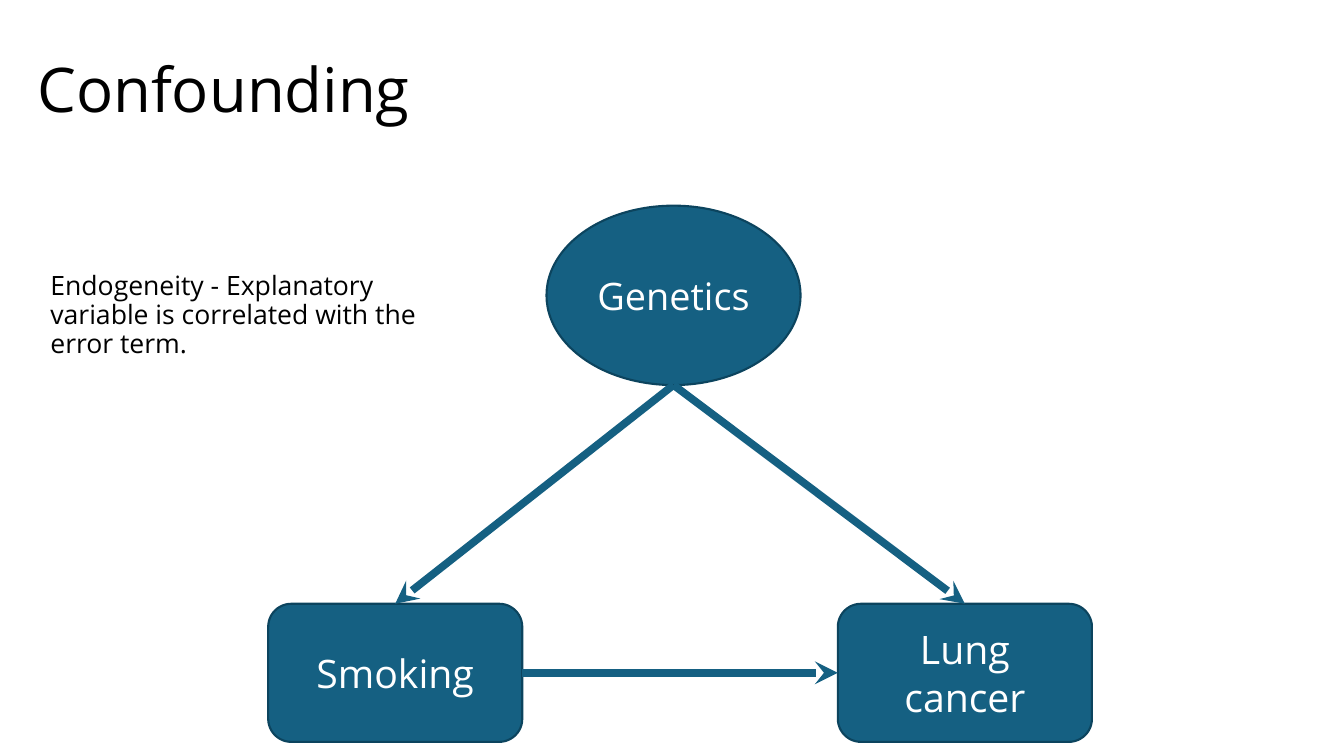
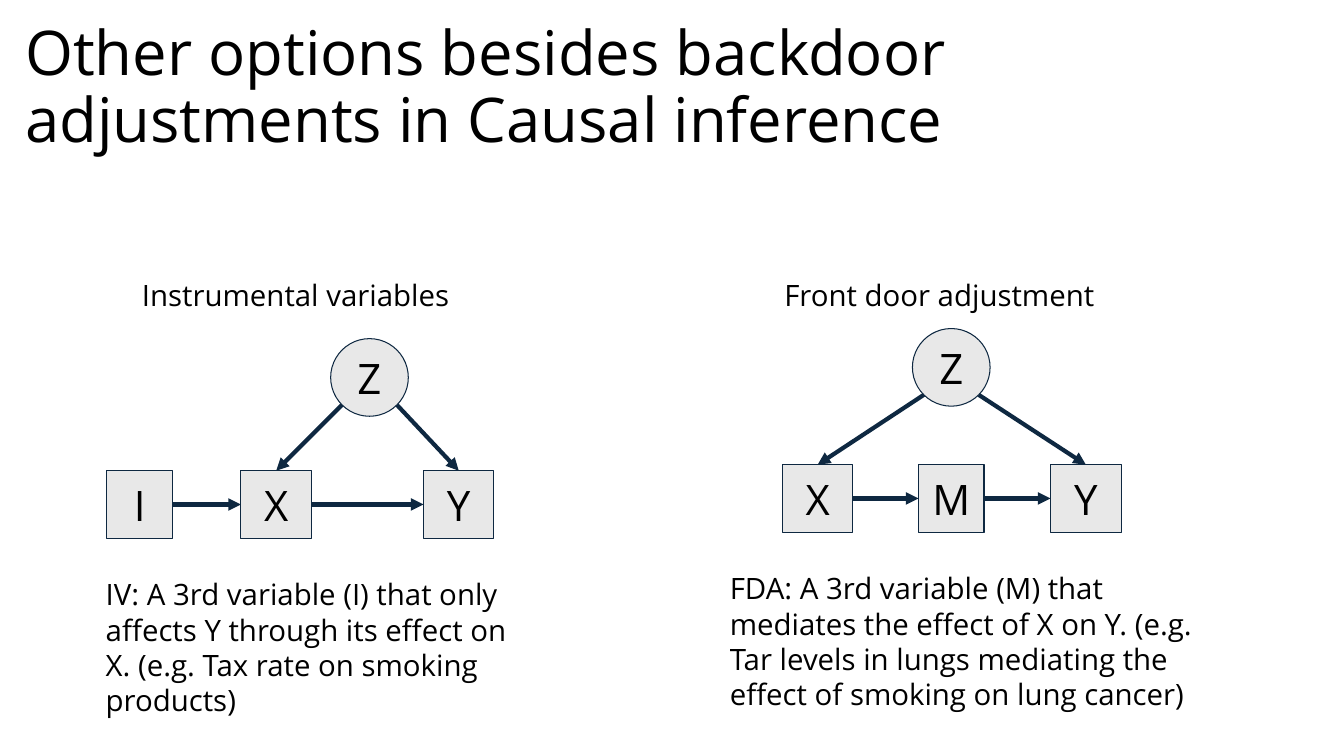
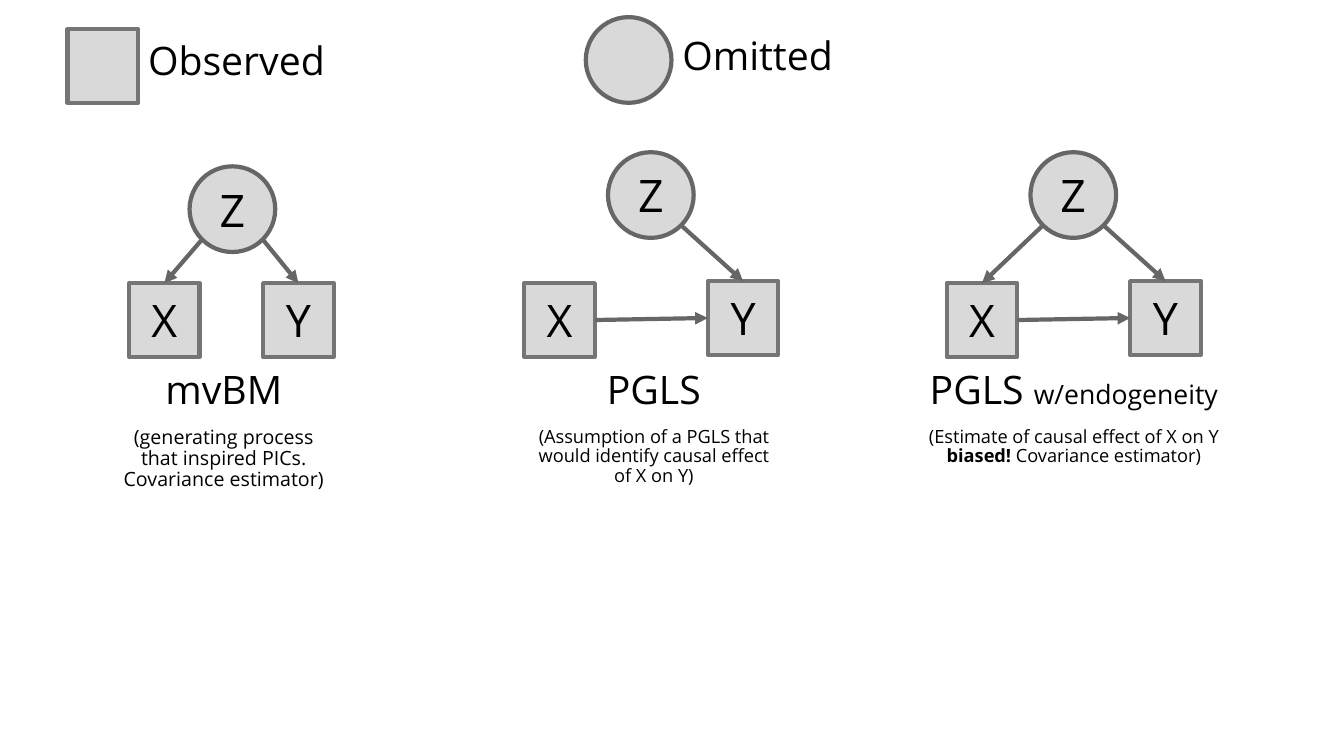
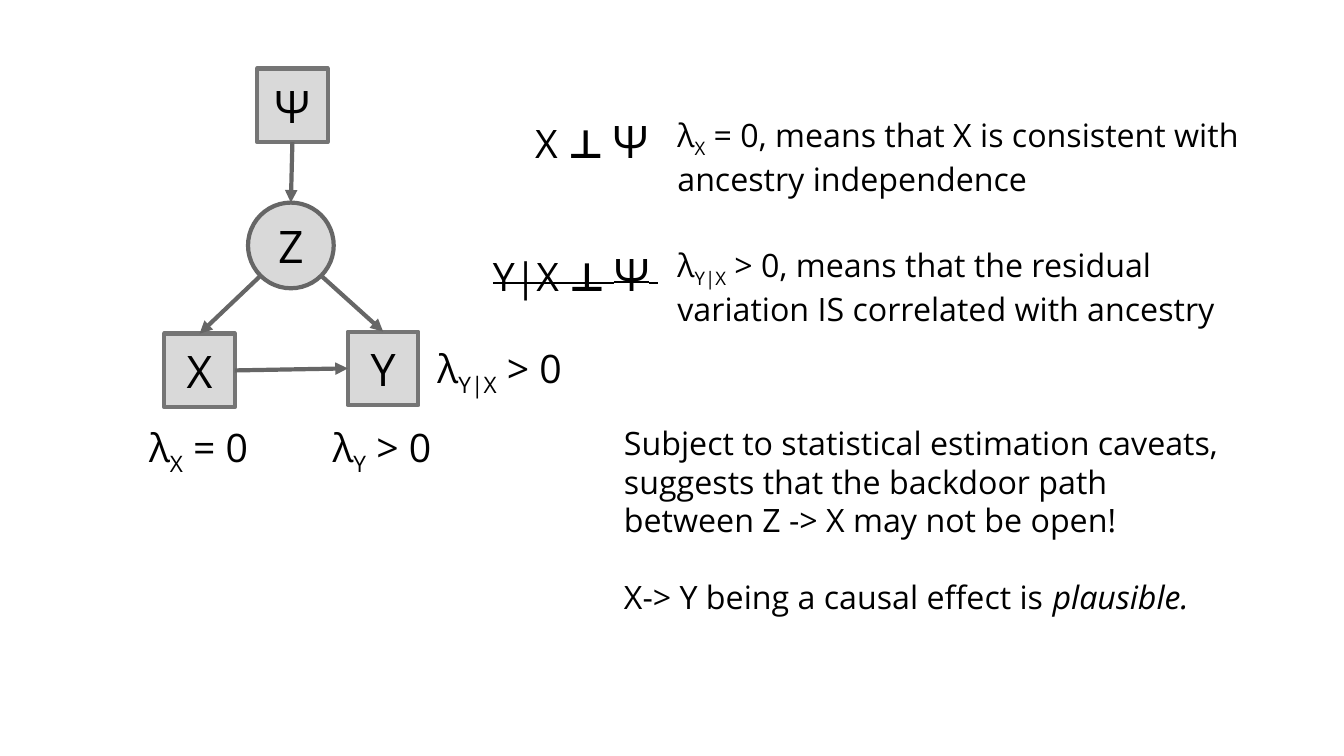
from dataclasses import dataclass
from math import sqrt

from lxml import etree
from pptx import Presentation
from pptx.dml.color import RGBColor
from pptx.enum.shapes import MSO_CONNECTOR, MSO_SHAPE
from pptx.enum.text import MSO_ANCHOR, MSO_AUTO_SIZE, PP_ALIGN
from pptx.oxml.ns import qn
from pptx.util import Inches, Pt

SQUARE, CIRCLE = MSO_SHAPE.RECTANGLE, MSO_SHAPE.OVAL
ROUNDED = MSO_SHAPE.FLOWCHART_ALTERNATE_PROCESS
STRAIGHT = MSO_CONNECTOR.STRAIGHT
LEFT, CENTER = PP_ALIGN.LEFT, PP_ALIGN.CENTER
TOP, MIDDLE = MSO_ANCHOR.TOP, MSO_ANCHOR.MIDDLE
NO_FIT = MSO_AUTO_SIZE.NONE

FONT = "Open Sans"
BLACK, WHITE = "000000", "FFFFFF"
CONTENT_LAYOUT, COMPARISON_LAYOUT, TITLE_LAYOUT, BLANK_LAYOUT = 1, 4, 5, 6
TITLE_SIZE = 44
TIGHT = 0.9
PSI = "Ѱ"
SUB = {"sub": True}
SYMBOL = {"font": "Cabin", "bold": True}


@dataclass
class GraphStyle:
    fill: str
    square_line: str
    circle_line: str
    line_width: float
    text: str
    size: int
    arrow: str
    arrow_width: float
    head: str = "triangle"
    square: tuple = (0.7, 0.73)
    circle: tuple = (0.85, 0.85)


TEAL = GraphStyle("156082", "0C445E", "0C445E", 1.5, WHITE, 28, "156082", 5.5,
                  "stealth", (2.52, 1.37), (2.52, 1.78))
NAVY = GraphStyle("E8E8E8", "0E2841", "0E2841", 0.75, BLACK, 30, "0E2841", 3,
                  square=(0.7, 0.67), circle=(0.77, 0.77))
GRAY = GraphStyle("D9D9D9", "757575", "666666", 3, BLACK, 32, "666666", 3)

TRIANGLE = {"Z": (0.83, 0), "X": (0, 1.3), "Y": (1.82, 1.28)}


def color(value):
    return RGBColor.from_string(value)


# Text
def add_span(para, text, size, tint=BLACK, font=FONT, bold=False,
             italic=False, sub=False, strike=False):
    span = para.add_run()
    span.text = text
    span.font.name = font
    span.font.size = Pt(size)
    span.font.color.rgb = color(tint)
    span.font.bold = bold
    span.font.italic = italic
    properties = span._r.get_or_add_rPr()
    if sub:
        properties.set("baseline", "-25000")
    if strike:
        properties.set("strike", "sngStrike")


def write(frame, paras, size, align=LEFT, anchor=TOP, spacing=None, gap=0,
          indent=0, tint=BLACK):
    """Each paragraph is a list of (text, options) spans."""
    frame.word_wrap = True
    frame.auto_size = NO_FIT
    frame.vertical_anchor = anchor
    for index, spans in enumerate(paras):
        para = frame.add_paragraph() if index else frame.paragraphs[0]
        properties = para._p.get_or_add_pPr()
        properties.set("marL", "0")
        properties.set("indent", str(Inches(indent)))
        etree.SubElement(properties, qn("a:buNone"))
        para.alignment = align
        para.space_before = Pt(gap if index else 0)
        if spacing:
            para.line_spacing = spacing
        for text, options in spans:
            add_span(para, text, **{"size": size, "tint": tint, **options})


def place(shape, box):
    shape.left, shape.top, shape.width, shape.height = map(Inches, box)


def fill_placeholder(shape, box, paras, size, **layout):
    place(shape, box)
    write(shape.text_frame, paras, size, spacing=TIGHT, **layout)


def add_title(page, box, text):
    fill_placeholder(page.shapes.title, box, [[(text, {})]], TITLE_SIZE,
                     anchor=MIDDLE)


def add_text(page, box, paras, size, **layout):
    frame = page.shapes.add_textbox(*map(Inches, box)).text_frame
    frame.margin_top = frame.margin_bottom = Inches(0.1)
    write(frame, paras, size, **layout)


# Graph parts
def add_node(page, kind, left, top, style, text="", size=None, width=None):
    box_width, height = style.circle if kind == CIRCLE else style.square
    node = page.shapes.add_shape(
        kind, *map(Inches, (left, top, width or box_width, height)))
    node.shadow.inherit = False
    node.fill.solid()
    node.fill.fore_color.rgb = color(style.fill)
    line = style.circle_line if kind == CIRCLE else style.square_line
    node.line.color.rgb = color(line)
    node.line.width = Pt(style.line_width)
    if text:
        write(node.text_frame, [[(text, {})]], size or style.size,
              align=CENTER, anchor=MIDDLE, tint=style.text)
    return node


def foot_point(circle, side):
    """Point on the lower edge: -1 lower left, 0 bottom, 1 lower right."""
    reach = 1 / sqrt(2) if side else 1
    x = circle.left + circle.width / 2 * (1 + side * reach)
    y = circle.top + circle.height / 2 * (1 + reach)
    return int(x), int(y)


def link(page, source, target, style, sites=(3, 1), foot=None):
    """Join two nodes by their sites, or start at the foot of a circle."""
    start = (0, 0) if foot is None else foot_point(source, foot)
    arrow = page.shapes.add_connector(STRAIGHT, *start, *start)
    if foot is None:
        arrow.begin_connect(source, sites[0])
        arrow.end_connect(target, sites[1])
    else:
        arrow.end_connect(target, 0)
    arrow.line.color.rgb = color(style.arrow)
    arrow.line.width = Pt(style.arrow_width)
    etree.SubElement(arrow.line._get_or_add_ln(), qn("a:tailEnd"),
                     type=style.head)
    etree.SubElement(arrow._element.spPr, qn("a:effectLst"))


def add_graph(page, left, top, style, spots, arrows):
    """Z is a circle, all others are squares; arrows are letter pairs."""
    nodes = {}
    for name, (across, down) in spots.items():
        nodes[name] = add_node(page, CIRCLE if name == "Z" else SQUARE,
                               left + across, top + down, style, name,
                               width=0.65 if name in "IM" else None)
    for start, end in arrows.split():
        if start == "Z":
            side = -1 if spots[end][0] < spots["Z"][0] else 1
            link(page, nodes[start], nodes[end], style, foot=side)
        else:
            sites = (2, 0) if end == "Z" else (3, 1)
            link(page, nodes[start], nodes[end], style, sites)


# Slides
def add_page(deck, layout):
    return deck.slides.add_slide(deck.slide_layouts[layout])


def confounding_page(deck):
    page = add_page(deck, CONTENT_LAYOUT)
    add_title(page, (0.27, 0.19, 12.12, 1.45), "Confounding")
    fill_placeholder(
        page.placeholders[1], (0.4, 2.41, 4.29, 1.45),
        [[("Endogeneity - Explanatory variable is correlated with the "
           "error term.", {})]], 19, anchor=MIDDLE)
    genetics = add_node(page, CIRCLE, 5.42, 2.04, TEAL, "Genetics", 27)
    cancer = add_node(page, ROUNDED, 8.31, 5.99, TEAL, "Lung cancer")
    smoking = add_node(page, ROUNDED, 2.66, 5.99, TEAL, "Smoking")
    link(page, smoking, cancer, TEAL)
    for effect in (cancer, smoking):
        link(page, genetics, effect, TEAL, foot=0)


def options_page(deck):
    page = add_page(deck, TITLE_LAYOUT)
    add_title(page, (0.15, 0.16, 11.5, 1.45),
              "Other options besides backdoor adjustments in Causal inference")
    # Headings and explanations
    for box, text in (
        ((1.31, 2.65, 3.51, 0.56), "Instrumental variables"),
        ((7.68, 2.65, 3.51, 0.56), "Front door adjustment"),
        ((0.95, 5.62, 4.38, 1.62),
         "IV: A 3rd variable (I) that only affects Y through its effect on X. "
         "(e.g. Tax rate on smoking products)"),
        ((7.14, 5.56, 5.03, 1.62),
         "FDA: A 3rd variable (M) that mediates the effect of X on Y. (e.g. "
         "Tar levels in lungs mediating the effect of smoking on lung cancer)"),
    ):
        add_text(page, box, [[(text, {})]], 21)
    add_graph(page, 1.06, 3.36, NAVY,
              {"I": (0, 1.31), "X": (1.33, 1.31), "Y": (3.14, 1.31),
               "Z": (2.22, 0)}, "ZX ZY XY IX")
    add_graph(page, 7.76, 3.26, NAVY,
              {"X": (0, 1.35), "M": (1.35, 1.35), "Y": (2.66, 1.35),
               "Z": (1.29, 0)}, "ZX ZY XM MY")


def models_page(deck):
    page = add_page(deck, COMPARISON_LAYOUT)
    # Legend
    add_node(page, SQUARE, 0.67, 0.29, GRAY)
    add_node(page, CIRCLE, 5.81, 0.17, GRAY)
    for box, text in (((1.37, 0.31, 2.38, 0.68), "Observed"),
                      ((6.67, 0.26, 2.66, 0.68), "Omitted")):
        add_text(page, box, [[(text, {})]], 28, spacing=TIGHT)
    # Graphs
    add_graph(page, 1.28, 1.65, GRAY,
              {"Z": (0.6, 0), "X": (0, 1.16), "Y": (1.33, 1.16)}, "ZX ZY")
    add_graph(page, 5.2, 1.51, GRAY, TRIANGLE, "ZY XY")
    add_graph(page, 9.39, 1.51, GRAY, TRIANGLE, "ZX ZY XY")
    # Captions
    captions = (
        (1.03, 2.38, 14, [("mvBM", {})],
         [("(generating process that inspired PICs. Covariance estimator)",
           {})]),
        (5.2, 2.57, 13, [("PGLS", {})],
         [("(Assumption of a PGLS that would identify causal effect of X on Y)",
           {})]),
        (9.11, 3.08, 13, [("PGLS ", {}), ("w/endogeneity", {"size": 19})],
         [("(Estimate of causal effect of X on Y ", {}),
          ("biased!", {"bold": True}), (" Covariance estimator)", {})]),
    )
    title, *bodies = list(page.placeholders)
    for body, (left, width, size, name, detail) in zip(bodies, captions):
        small = [(text, {"size": size, **options}) for text, options in detail]
        fill_placeholder(body, (left, 3.63, width, 0.73), [name, small], 28,
                         align=CENTER, gap=10)
    for unused in (title, *bodies[len(captions):]):
        unused._element.getparent().remove(unused._element)


def ancestry_page(deck):
    page = add_page(deck, BLANK_LAYOUT)
    add_graph(page, 1.63, 2.01, GRAY, {**TRIANGLE, PSI: (0.92, -1.33)},
              f"ZX ZY XY {PSI}Z")
    # Lambda labels and their meaning
    for box, size, subscript, text in (
        ((1.38, 4.1, 1.4, 0.67), 28, "X", " = 0"),
        ((3.2, 4.1, 1.65, 0.67), 28, "Y", " > 0"),
        ((4.24, 3.32, 1.98, 0.67), 28, "Y|X", " > 0"),
        ((6.62, 1.04, 6.1, 0.98), 23, "X",
         " = 0, means that X is consistent with ancestry independence"),
        ((6.62, 2.33, 6.1, 0.98), 23, "Y|X",
         " > 0, means that the residual variation IS correlated with ancestry"),
    ):
        add_text(page, box, [[("λ", {}), (subscript, SUB), (text, {})]], size)
    # Independence statements
    add_text(page, (4.71, 1.03, 2.1, 0.74),
             [[("X ", {}), ("⊥ ", SYMBOL), (PSI, {"size": 32})]], 28,
             indent=0.5)
    denied = [("Y|X ", {}), ("⊥ ", SYMBOL), (PSI, {"size": 32}), (" ", SYMBOL)]
    add_text(page, (4.79, 2.35, 2.25, 0.74),
             [[(text, {**options, "strike": True})
               for text, options in denied]], 28)
    # Conclusion
    add_text(page, (6.09, 4.1, 6.36, 2.14),
             [[("Subject to statistical estimation caveats, suggests that the "
                "backdoor path between Z -> X may not be open!", {})],
              [("X-> Y being a causal effect is ", {}),
               ("plausible.", {"italic": True})]], 23, gap=27.5)


def main():
    deck = Presentation()
    deck.slide_width, deck.slide_height = Inches(13.33), Inches(7.5)
    for build in (confounding_page, options_page, models_page, ancestry_page):
        build(deck)
    deck.save("out.pptx")


if __name__ == "__main__":
    main()
